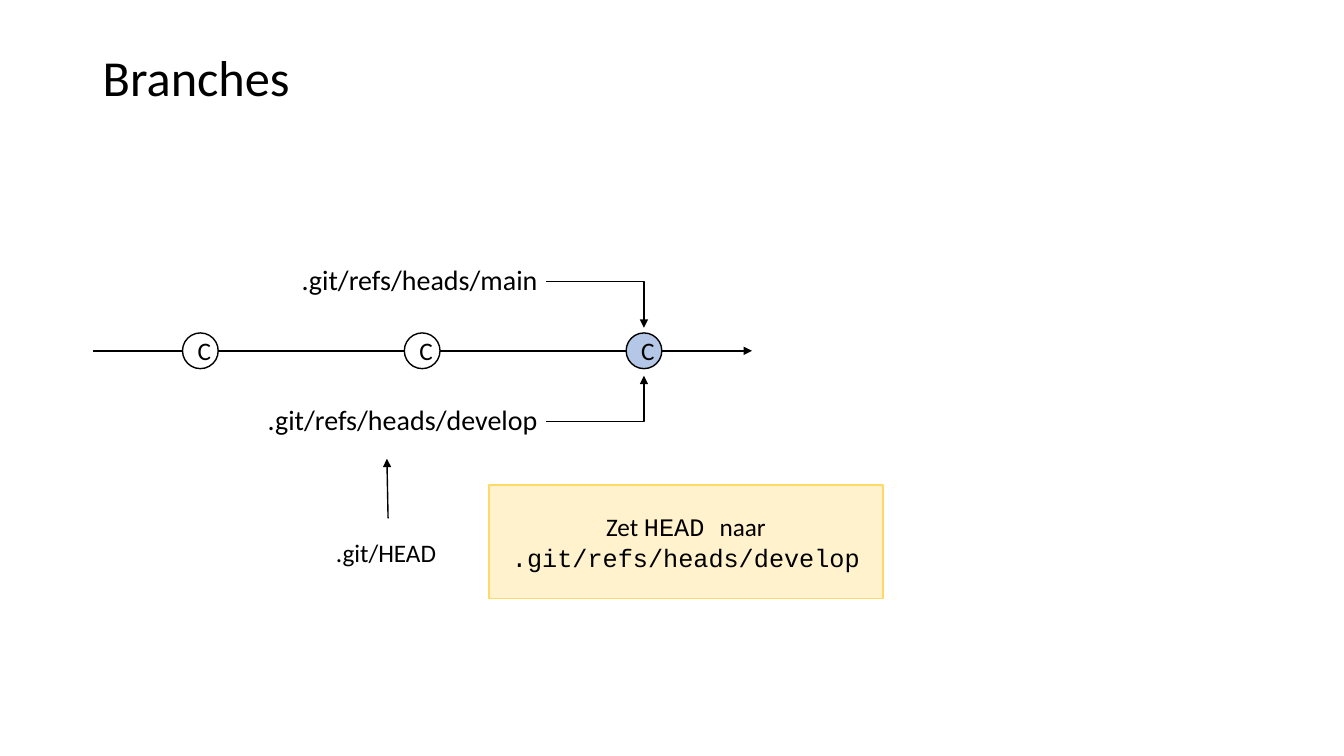
"""Build a slide on how Git branches and HEAD point at commits."""
from dataclasses import dataclass

import pptx
import pptx.util
import pptx.dml.color
import pptx.enum.shapes
import pptx.enum.text
import pptx.oxml

Cm = pptx.util.Cm
Pt = pptx.util.Pt
Align = pptx.enum.text.PP_ALIGN
Anchor = pptx.enum.text.MSO_ANCHOR
Shape = pptx.enum.shapes.MSO_SHAPE
Link = pptx.enum.shapes.MSO_CONNECTOR


@dataclass(frozen=True)
class Theme:
    """Hold the colours, fonts and sizes."""
    ink: str = "000000"
    paper: str = "FFFFFF"
    blue: str = "B4C7E7"
    cream: str = "FFF2CC"
    gold: str = "FFD966"
    sans: str = "Calibri"
    mono: str = "Courier New"
    title: int = 36
    label: int = 20
    body: int = 18


def paint(code):
    """Turn a hex code into a colour."""
    return pptx.dml.color.RGBColor.from_string(code)


class Board:
    """Draw styled elements on one slide."""

    def __init__(self, theme, slide):
        self.theme = theme
        self.slide = slide

    def fill_text(self, frame, lines, size, align, anchor):
        """Fill a frame with lines, each a list of (text, font) runs."""
        frame.word_wrap = True
        frame.vertical_anchor = anchor
        for index, runs in enumerate(lines):
            para = frame.add_paragraph() if index else frame.paragraphs[0]
            para.alignment = align
            para.font.size = Pt(size)
            para.font.color.rgb = paint(self.theme.ink)
            fonts = {font for _, font in runs}
            if len(fonts) == 1:
                para.font.name = runs[0][1]
            for text, font in runs:
                run = para.add_run()
                run.text = text
                if len(fonts) > 1:
                    run.font.name = font

    def text(self, box, words, size, align=Align.LEFT, anchor=Anchor.TOP):
        """Add a text box with one line."""
        item = self.slide.shapes.add_textbox(*map(Cm, box))
        self.fill_text(item.text_frame, [[(words, self.theme.sans)]], size, align, anchor)
        return item

    def shape(self, kind, box, fill, line, lines):
        """Add a filled shape with centred text."""
        item = self.slide.shapes.add_shape(kind, *map(Cm, box))
        item.shadow.inherit = False
        item.fill.solid()
        item.fill.fore_color.rgb = paint(fill)
        item.line.color.rgb = paint(line)
        item.line.width = Pt(1)
        self.fill_text(item.text_frame, lines, self.theme.body, Align.CENTER, Anchor.MIDDLE)

    def arrow(self, start, end, width=1, bent=False):
        """Add an arrow, straight or with one corner."""
        kind = Link.ELBOW if bent else Link.STRAIGHT
        item = self.slide.shapes.add_connector(kind, *map(Cm, start + end))
        item.line.color.rgb = paint(self.theme.ink)
        item.line.width = Pt(width)
        props = item._element.spPr
        if bent:
            props.prstGeom.set("prst", "bentConnector2")
        space = pptx.oxml.ns.nsdecls("a")
        head = pptx.oxml.parse_xml(f'<a:tailEnd {space} type="triangle"/>')
        props.find(pptx.oxml.ns.qn("a:ln")).append(head)
        props.append(pptx.oxml.parse_xml(f"<a:effectLst {space}/>"))


def main():
    """Lay out the slide and save it."""
    deck = pptx.Presentation()
    deck.slide_width, deck.slide_height = Cm(33.87), Cm(19.05)
    theme = Theme()
    board = Board(theme, deck.slides.add_slide(deck.slide_layouts[6]))

    left, axis, size, step = 2.34, 8.84, 0.9, 5.59
    title = board.text((left, 1.02, 29.21, 2), "Branches", theme.title, anchor=Anchor.MIDDLE)
    title.text_frame.paragraphs[0].line_spacing = 0.9

    board.arrow((left, axis), (18.95, axis), 1.5)
    for index, fill in enumerate((theme.paper, theme.paper, theme.blue)):
        box = (4.6 + index * step, axis - size / 2, size, size)
        board.shape(Shape.OVAL, box, fill, theme.ink, [[("C", theme.sans)]])

    tip = 4.6 + 2 * step + size / 2
    branches = (("main", 6.48, 7.09, 8.26), ("develop", 10.01, 10.62, 9.47))
    for name, top, start, end in branches:
        board.text((left, top, 11.46, 1.12), f".git/refs/heads/{name}", theme.label, Align.RIGHT)
        board.arrow((13.77, start), (tip, end), bent=True)

    note = [
        [("Zet ", theme.sans), ("HEAD ", theme.mono), ("naar", theme.sans)],
        [(".git/refs/heads/develop", theme.mono)],
    ]
    board.shape(Shape.RECTANGLE, (12.32, 12.22, 9.93, 2.87), theme.cream, theme.gold, note)
    board.shape(Shape.RECTANGLE, (7.24, 13.18, 4.98, 1.5), theme.paper, theme.paper,
                [[(".git/HEAD", theme.sans)]])
    board.arrow((9.78, 13.06), (9.75, 11.56))
    deck.save("out.pptx")


if __name__ == "__main__":
    main()
